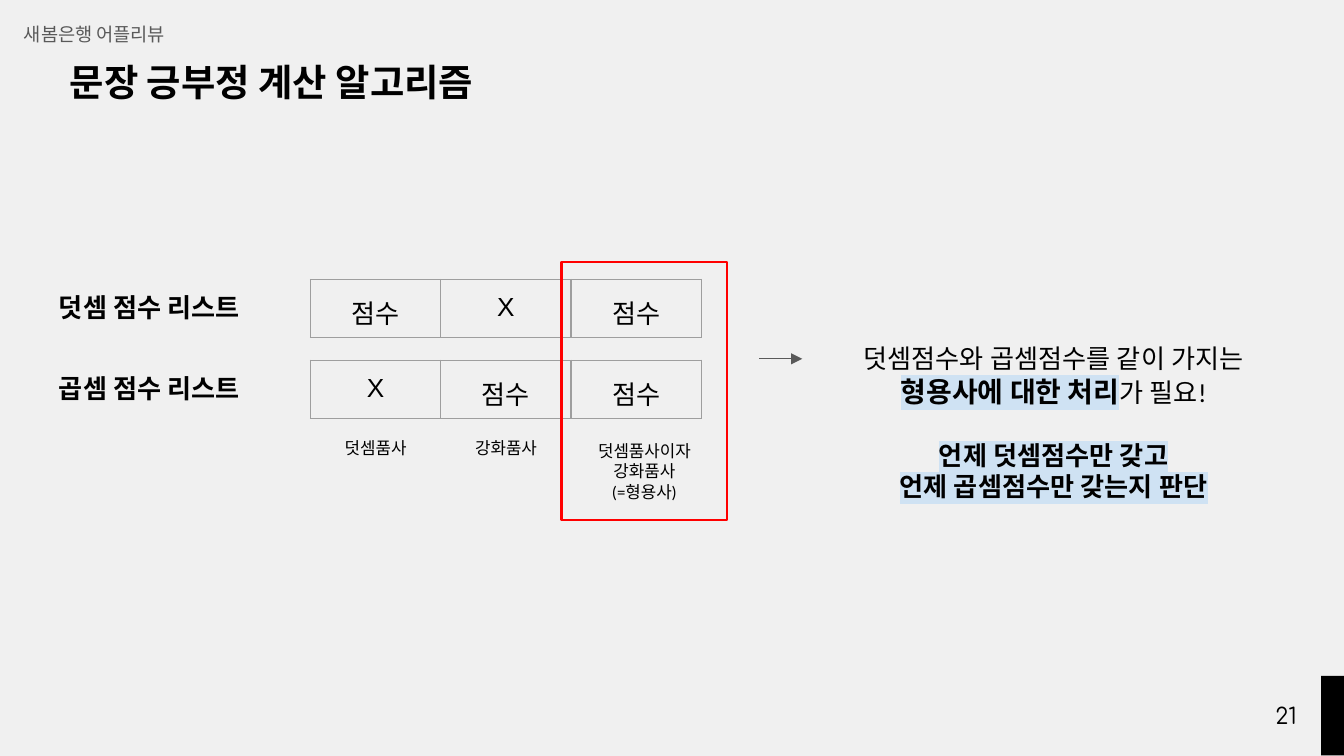
from lxml import etree
from pptx import Presentation
from pptx.dml.color import RGBColor
from pptx.enum.shapes import MSO_CONNECTOR, MSO_SHAPE
from pptx.enum.text import MSO_ANCHOR, PP_ALIGN
from pptx.oxml.ns import qn
from pptx.util import Inches, Pt

COLORS = {name: RGBColor.from_string(value) for name, value in {
    "background": "F0F0F0", "black": "000000", "gray": "595959",
    "border": "9E9E9E", "red": "FF0000", "highlight": "CFE2F3"}.items()}
MARGIN = Inches(0.1)
KOREAN_FONT = "Noto Sans CJK KR"


def style_paragraph(paragraph, size, font_name, bold=None, color="black",
                    align=None, hangul_font=None):
    paragraph.alignment = align
    font = paragraph.font
    font.size = Pt(size)
    font.name = font_name
    font.bold = bold
    font.color.rgb = COLORS[color]
    # Hangul takes its typeface from the East Asian slot
    defaults = paragraph._p.pPr.find(qn("a:defRPr"))
    etree.SubElement(defaults, qn("a:ea"), typeface=hangul_font or font_name)


def add_text(box, lines, size, font_name, **style):
    text_box = slide.shapes.add_textbox(*map(Inches, box))
    frame = text_box.text_frame
    frame.word_wrap = True
    frame.margin_left = frame.margin_right = MARGIN
    frame.margin_top = frame.margin_bottom = MARGIN
    for index, line in enumerate(lines):
        paragraph = frame.paragraphs[0] if index == 0 else frame.add_paragraph()
        paragraph.add_run().text = line
        style_paragraph(paragraph, size, font_name, **style)
    return frame


presentation = Presentation()
presentation.slide_width = Inches(10)
presentation.slide_height = Inches(10) * 9 // 16
slide = presentation.slides.add_slide(presentation.slide_layouts[6])
slide.background.fill.solid()
slide.background.fill.fore_color.rgb = COLORS["background"]

# Page number and corner bar
corner_bar = slide.shapes.add_shape(
    MSO_SHAPE.RECTANGLE, Inches(9.62), Inches(5.24), Inches(0.59), Inches(0.17))
corner_bar.rotation = 90
corner_bar.shadow.inherit = False
corner_bar.fill.solid()
corner_bar.fill.fore_color.rgb = COLORS["black"]
corner_bar.line.fill.background()
page_number = add_text((9.27, 5.11, 0.6, 0.43), ["21"], 12, "Comfortaa",
                       align=PP_ALIGN.CENTER)
page_number.vertical_anchor = MSO_ANCHOR.MIDDLE

# Title
add_text((0.42, 0.34, 3.95, 0.52), ["문장 긍부정 계산 알고리즘"], 20,
         KOREAN_FONT, bold=True)

# Score lists: a heading and a one-row table each
COLUMN_LEFT, COLUMN_WIDTH = 2.31, 0.97
score_lists = [
    ("덧셈 점수 리스트", 2.08, ["점수", "X", "점수"]),
    ("곱셈 점수 리스트", 2.68, ["X", "점수", "점수"]),
]
for heading, top, scores in score_lists:
    add_text((0.34, top - 0.01, 1.96, 0.44), [heading], 14, "Calibri", bold=True)
    table = slide.shapes.add_table(
        1, 3, Inches(COLUMN_LEFT), Inches(top),
        Inches(3 * COLUMN_WIDTH), Inches(0.42)).table
    table.first_row = table.horz_banding = False
    for cell, score in zip(table.iter_cells(), scores):
        cell.text = score
        cell.margin_left = cell.margin_right = MARGIN
        cell.margin_top = cell.margin_bottom = MARGIN
        style_paragraph(cell.text_frame.paragraphs[0], 14, "Arial",
                        align=PP_ALIGN.CENTER, hangul_font=KOREAN_FONT)
        properties = cell._tc.get_or_add_tcPr()
        for side in ("lnL", "lnR", "lnT", "lnB"):
            border = etree.SubElement(properties, qn(f"a:{side}"), w=str(Pt(0.75)))
            fill = etree.SubElement(border, qn("a:solidFill"))
            etree.SubElement(fill, qn("a:srgbClr"), val=str(COLORS["border"]))
        cell.fill.background()

# Part-of-speech labels under the columns
labels = [
    (COLUMN_LEFT, 0.35, ["덧셈품사"]),
    (COLUMN_LEFT + COLUMN_WIDTH, 0.35, ["강화품사"]),
    (4.31, 0.66, ["덧셈품사이자 강화품사", "(=형용사)"]),
]
for left, height, lines in labels:
    add_text((left, 3.18, COLUMN_WIDTH, height), lines, 9, "Calibri",
             align=PP_ALIGN.CENTER)

# Frame around the adjective column, and the arrow to the conclusion
column_frame = slide.shapes.add_shape(
    MSO_SHAPE.RECTANGLE, Inches(4.18), Inches(1.95), Inches(1.23), Inches(1.92))
column_frame.shadow.inherit = False
column_frame.fill.background()
column_frame.line.color.rgb = COLORS["red"]
column_frame.line.width = Pt(1.5)

arrow = slide.shapes.add_connector(
    MSO_CONNECTOR.STRAIGHT, Inches(5.65), Inches(2.67), Inches(5.97), Inches(2.67))
arrow.line.color.rgb = COLORS["gray"]
arrow.line.width = Pt(0.75)
etree.SubElement(arrow.line._get_or_add_ln(), qn("a:tailEnd"), type="triangle")
etree.SubElement(arrow._element.spPr, qn("a:effectLst"))

# Conclusion
conclusion = add_text(
    (6.2, 2.45, 3.28, 1.4),
    ["덧셈점수와 곱셈점수를 같이 가지는 ", "언제 덧셈점수만 갖고", "언제 곱셈점수만 갖는지 판단"],
    14, "Calibri", align=PP_ALIGN.CENTER)
need, *questions = conclusion.paragraphs
adjective = need.add_run()
adjective.text = "형용사에 대한 처리"
adjective.font.size = Pt(15)
need.add_run().text = "가 필요!"
questions[0].space_before = Pt(17)
for run in [adjective] + [question.runs[0] for question in questions]:
    run.font.bold = True
    highlight = etree.SubElement(run._r.get_or_add_rPr(), qn("a:highlight"))
    etree.SubElement(highlight, qn("a:srgbClr"), val=str(COLORS["highlight"]))

# Running header
header = add_text((0.08, 0.05, 2.01, 0.35), ["새봄은행 어플리뷰"], 10,
                  KOREAN_FONT, color="gray")
header.paragraphs[0].line_spacing = 1.15
header.paragraphs[0].space_after = Pt(16)

presentation.save("out.pptx")
